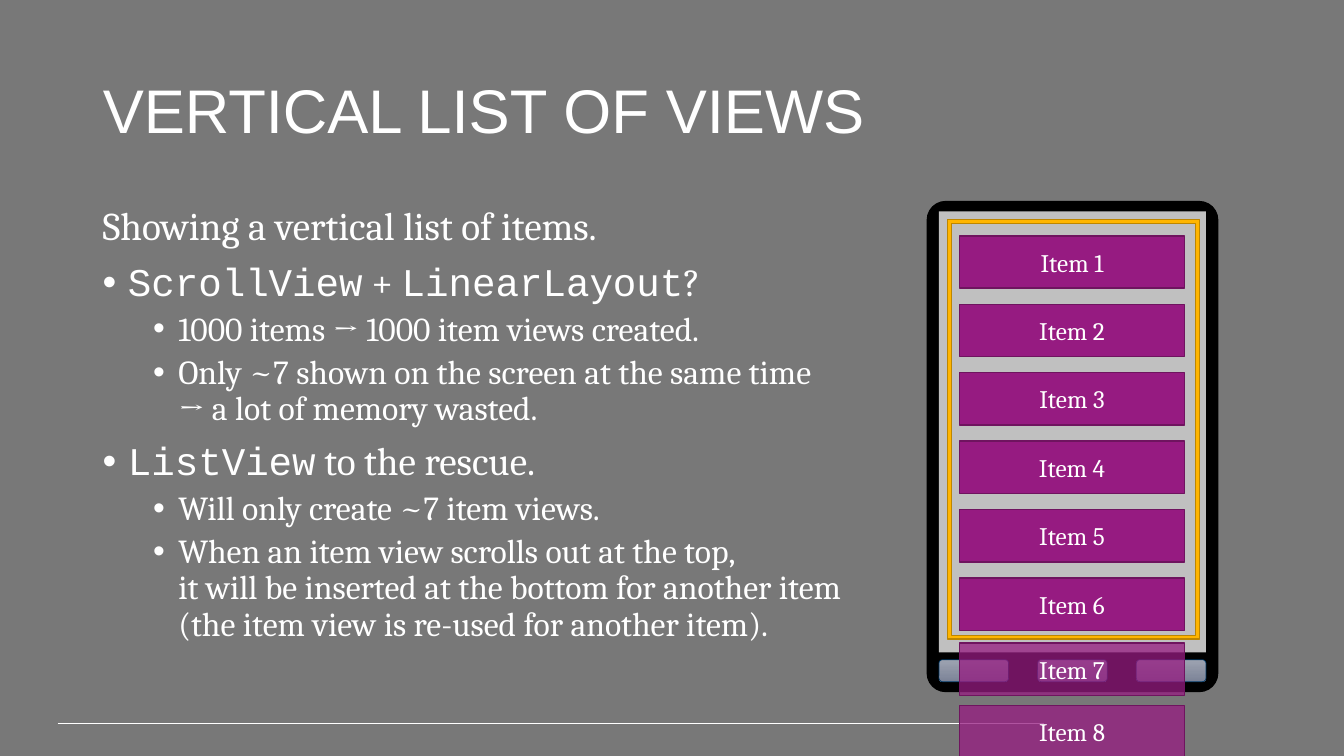
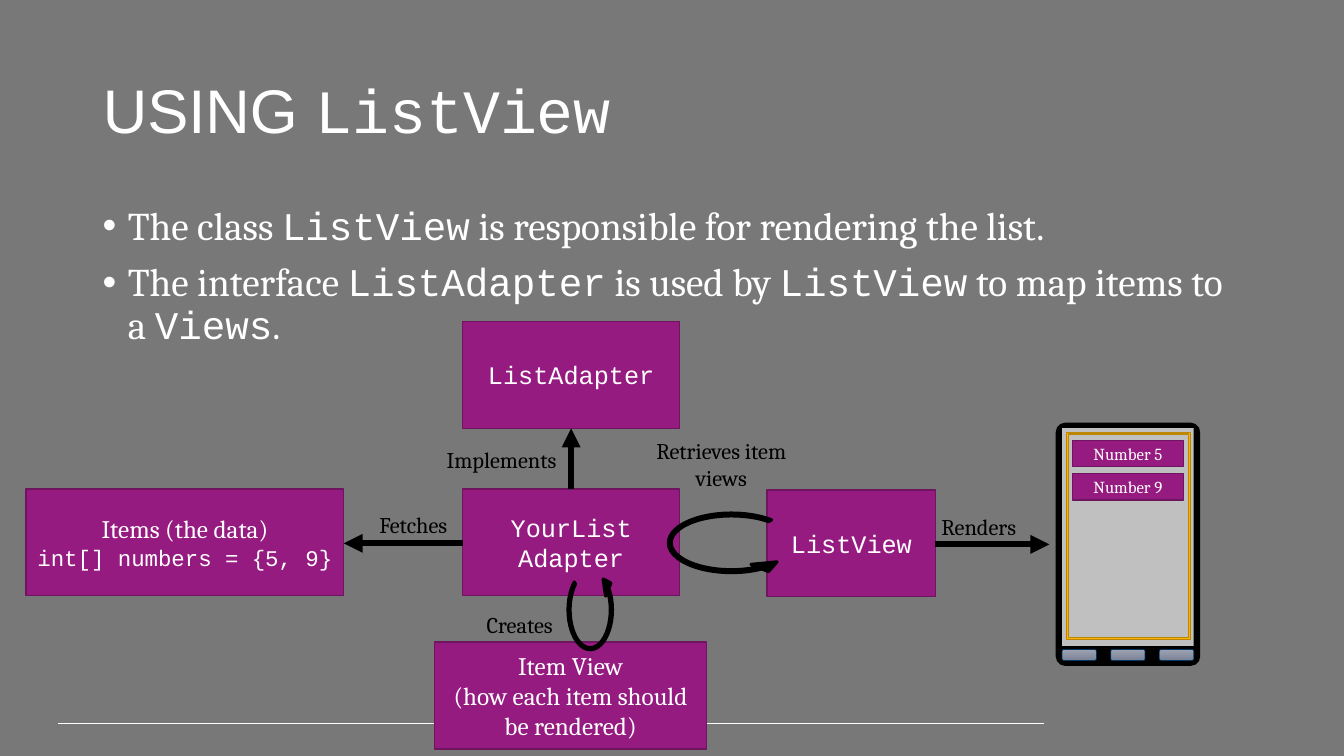
from lxml.etree import SubElement
from pptx import Presentation
from pptx.dml.color import RGBColor
from pptx.enum.shapes import MSO_CONNECTOR as Connector, MSO_SHAPE as Shape
from pptx.enum.text import MSO_ANCHOR as Anchor, PP_ALIGN as Align
from pptx.oxml.ns import qn
from pptx.util import Inches, Pt

# Shared style
GREY, WHITE, BLACK, SCREEN = "787878", "FFFFFF", "000000", "C0C0C0"
PURPLE, PURPLE_EDGE = "961B81", "6F145F"
GOLD, GOLD_EDGE = "FFB500", "BD8600"
KEY_TOP, KEY_BOTTOM, KEY_EDGE = "9DA3B1", "7C8397", "003865"
HEADING, TEXT, CODE = "Arial", "Cambria", "Courier New"
BODY_SIZE = {0: 28, 1: 28, 2: 24}
BODY_GAP = {0: 10, 1: 10, 2: 5}
BODY_INDENT = {1: 0.25, 2: 0.75}


def color(hex_code):
    return RGBColor.from_string(hex_code)


class Deck:
    """Holds the style and the current slide; lengths are percent of the slide."""

    def __init__(self):
        self.prs = Presentation()
        self.prs.slide_width, self.prs.slide_height = Inches(13.333), Inches(7.5)
        background = self.prs.slide_master.background.fill
        background.solid()
        background.fore_color.rgb = color(GREY)
        self.slide = None

    def place(self, *lengths):
        """Turn alternating x and y percentages into slide lengths."""
        sides = (self.prs.slide_width, self.prs.slide_height)
        return [int(sides[i % 2] * n / 100) for i, n in enumerate(lengths)]

    def new_slide(self, title):
        self.slide = self.prs.slides.add_slide(self.prs.slide_layouts[5])
        self.line((4.28, 95.73), (77.7, 95.73), WHITE, 0.75)
        heading = self.slide.shapes.title
        heading.left, heading.top, heading.width, heading.height = self.place(
            6.9, 5.33, 86.25, 19.33)
        heading.text_frame.vertical_anchor = Anchor.MIDDLE
        paragraph = heading.text_frame.paragraphs[0]
        paragraph.line_spacing = 0.9
        self.set_text(paragraph, title, 44, face=HEADING, align=Align.LEFT)

    def set_text(self, paragraph, text, size, ink=WHITE, face=TEXT, align=Align.CENTER):
        """Fill a paragraph; text between backticks is set as code."""
        pieces = [(part, CODE if i % 2 else face)
                  for i, part in enumerate(text.split("`")) if part]
        paragraph.alignment = align
        font = paragraph.font
        font.size, font.name, font.color.rgb = Pt(size), pieces[0][1], color(ink)
        for part, part_face in pieces:
            for i, row in enumerate(part.split("\n")):
                if i:
                    paragraph.add_line_break()
                run = paragraph.add_run()
                run.text = row
                if part_face != font.name:
                    run.font.name = part_face

    def body(self, width, height, entries):
        """Entries are (depth, text); depth 0 has no bullet."""
        frame = self.slide.shapes.add_textbox(
            *self.place(6.9, 26.67, width, height)).text_frame
        frame.word_wrap = True
        for i, (depth, text) in enumerate(entries):
            paragraph = frame.add_paragraph() if i else frame.paragraphs[0]
            if depth:
                paragraph.level = depth - 1
                props = paragraph._p.get_or_add_pPr()
                props.set("marL", str(Inches(BODY_INDENT[depth])))
                props.set("indent", str(-Inches(0.25)))
                SubElement(props, qn("a:buFont")).set("typeface", "Arial")
                SubElement(props, qn("a:buChar")).set("char", "•")
            paragraph.line_spacing = 0.9
            if i:
                paragraph.space_before = Pt(BODY_GAP[depth])
            self.set_text(paragraph, text, BODY_SIZE[depth], align=Align.LEFT)

    def shape(self, kind, area, fill, edge=None, weight=1.0, adjust=()):
        shape = self.slide.shapes.add_shape(kind, *self.place(*area))
        shape.shadow.inherit = False
        for i, value in enumerate(adjust):
            shape.adjustments[i] = value
        shape.fill.solid()
        shape.fill.fore_color.rgb = color(fill)
        if edge:
            shape.line.color.rgb = color(edge)
            shape.line.width = Pt(weight)
        else:
            shape.line.fill.background()
        return shape

    def box(self, area, *texts, sizes=(18, 18), alpha=None):
        box = self.shape(Shape.RECTANGLE, area, PURPLE, PURPLE_EDGE)
        if alpha:
            tint = box._element.spPr.find(qn("a:solidFill"))[0]
            SubElement(tint, qn("a:alpha")).set("val", str(alpha * 1000))
        frame = box.text_frame
        frame.vertical_anchor = Anchor.MIDDLE
        for i, (text, size) in enumerate(zip(texts, sizes)):
            self.set_text(frame.add_paragraph() if i else frame.paragraphs[0], text, size)

    def label(self, area, text):
        frame = self.slide.shapes.add_textbox(*self.place(*area)).text_frame
        frame.word_wrap = True
        self.set_text(frame.paragraphs[0], text, 16, BLACK)

    def line(self, start, end, ink=BLACK, weight=4.5, arrow=False):
        line = self.slide.shapes.add_connector(
            Connector.STRAIGHT, *self.place(*start, *end))
        line.line.color.rgb = color(ink)
        line.line.width = Pt(weight)
        if arrow:
            outline = line._element.spPr.find(qn("a:ln"))
            SubElement(outline, qn("a:tailEnd")).set("type", "triangle")
        SubElement(line._element.spPr, qn("a:effectLst"))

    def loop(self, area, rotation):
        loop = self.shape(Shape.CIRCULAR_ARROW, area, BLACK, BLACK, 2.25,
                          (0.038, 11.423, 191.009, 17.837, 0.125))
        loop.rotation = rotation
        loop._element.spPr.find(qn("a:xfrm")).set("flipH", "1")

    def phone(self, x, y, w, h):
        """A phone whose parts are shares of its own size."""
        def part(left, top, width, height):
            return x + left * w, y + top * h, width * w, height * h

        self.shape(Shape.ROUNDED_RECTANGLE, (x, y, w, h), BLACK, BLACK, adjust=[0.063])
        self.shape(Shape.RECTANGLE, part(0.04, 0.02, 0.92, 0.9), SCREEN)
        for i in range(3):
            key = self.shape(Shape.ROUNDED_RECTANGLE,
                             part(0.04 + 0.34 * i, 0.935, 0.24, 0.045),
                             KEY_TOP, KEY_EDGE, 0.5)
            key.fill.gradient()
            key.fill.gradient_angle = 270
            for stop, shade in zip(key.fill.gradient_stops, (KEY_TOP, KEY_BOTTOM)):
                stop.color.rgb = color(shade)
        self.shape(Shape.FRAME, part(0.07, 0.037, 0.867, 0.856), GOLD, GOLD_EDGE,
                   adjust=[0.015])


def vertical_list(deck):
    deck.new_slide("VERTICAL LIST OF VIEWS")
    deck.body(61.05, 59.73, [
        (0, "Showing a vertical list of items."),
        (1, "`ScrollView` + `LinearLayout`?"),
        (2, "1000 items → 1000 item views created."),
        (2, "Only ~7 shown on the screen at the same time\n→ a lot of memory wasted."),
        (1, "`ListView` to the rescue."),
        (2, "Will only create ~7 item views."),
        (2, "When an item view scrolls out at the top,\n"
            "it will be inserted at the bottom for another item\n"
            "(the item view is re-used for another item)."),
    ])
    deck.phone(69, 26.67, 21.6, 64.8)
    # Items on the screen, then the see-through ones below it
    visible = [31.2 + 9.05 * i for i in range(6)]
    hidden = [85.07, 93.33]
    for number, top in enumerate(visible + hidden, 1):
        deck.box((71.4, top, 16.73, 6.93), f"Item {number}",
                 alpha=75 if top in hidden else None)


def using_list_view(deck):
    deck.new_slide("USING `ListView`")
    deck.body(86.25, 20.13, [
        (1, "The class `ListView` is responsible for rendering the list."),
        (1, "The interface `ListAdapter` is used by `ListView` to map items to a `Views`."),
    ])
    # Classes and data
    row, tall = 64.67, 14.13
    deck.box((1.95, row, 23.63, tall), "Items (the data)", "`int[] numbers = {5, 9}`",
             sizes=(18, 16))
    deck.box((34.43, row, 16.13, tall), "`YourList\nAdapter`")
    deck.box((57.08, row + 0.13, 12.53, tall), "`ListView`")
    deck.box((34.43, 42.53, 16.13, tall), "`ListAdapter`")
    deck.box((32.33, 84.93, 20.25, tall), "Item View", "(how each item should be rendered)")
    # Phone with the rendered list
    deck.phone(78.6, 56, 10.65, 32)
    for i, number in enumerate((5, 9)):
        deck.box((79.8, 58.27 + 4.4 * i, 8.25, 3.47), f"Number {number}", sizes=[12])
    # Relations
    for start, end in (((34.43, 71.87), (25.58, 71.87)),
                       ((69.6, 72), (78.08, 72)),
                       ((42.5, row), (42.5, 56.67))):
        deck.line(start, end, arrow=True)
    for area, text in (((69, 67.2, 7.65, 4.93), "Renders"),
                       ((26.93, 66.93, 7.65, 4.93), "Fetches"),
                       ((34.73, 80.13, 7.88, 4.93), "Creates"),
                       ((47.78, 57.2, 11.78, 8.53), "Retrieves item views"),
                       ((31.43, 58.4, 11.78, 4.93), "Implements")):
        deck.label(area, text)
    deck.loop((49.13, 66.8, 10.58, 10), 180)
    deck.loop((40.5, 76.93, 6.83, 7.47), 90)


def main():
    deck = Deck()
    vertical_list(deck)
    using_list_view(deck)
    deck.prs.save("out.pptx")


if __name__ == "__main__":
    main()
